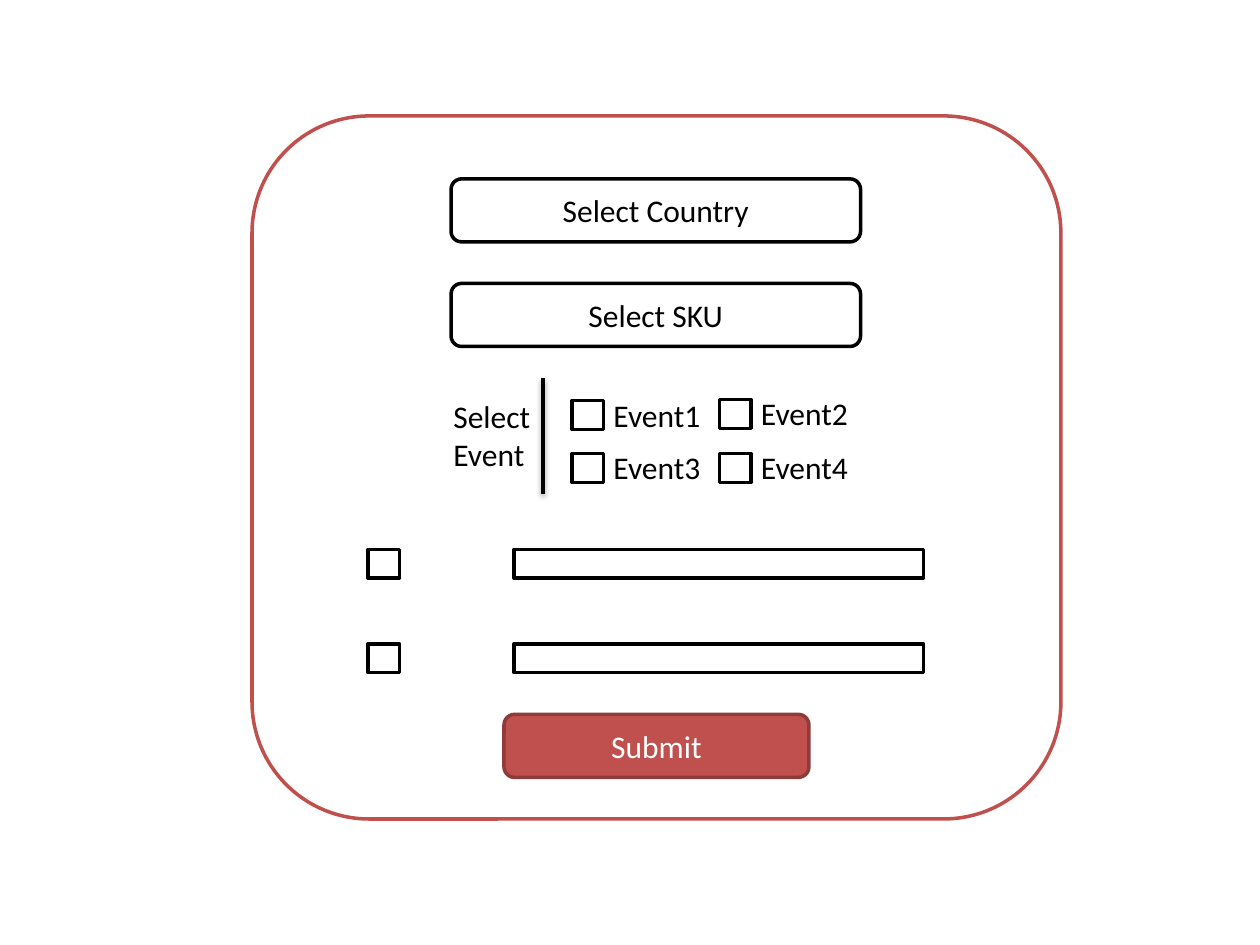
from dataclasses import dataclass

from lxml import etree
from pptx import Presentation
from pptx.dml.color import RGBColor
from pptx.enum.shapes import MSO_CONNECTOR, MSO_SHAPE
from pptx.enum.text import MSO_ANCHOR, MSO_AUTO_SIZE, PP_ALIGN
from pptx.oxml.ns import qn
from pptx.util import Inches, Pt

RECT = MSO_SHAPE.RECTANGLE
ROUNDED = MSO_SHAPE.ROUNDED_RECTANGLE
STRAIGHT = MSO_CONNECTOR.STRAIGHT
CENTER, LEFT = PP_ALIGN.CENTER, PP_ALIGN.LEFT
MIDDLE, TOP = MSO_ANCHOR.MIDDLE, MSO_ANCHOR.TOP
GROW = MSO_AUTO_SIZE.SHAPE_TO_FIT_TEXT


@dataclass(frozen=True)
class Theme:
    font: str = "Calibri"
    text_size: int = 18
    line_width: int = 2
    ink: str = "000000"
    paper: str = "FFFFFF"
    accent: str = "C0504D"
    accent_dark: str = "8E3B39"


THEME = Theme()


def write_text(frame, text, color=THEME.ink, align=LEFT, anchor=TOP):
    """Fill a text frame, one paragraph per line of text."""
    frame.word_wrap = True
    frame.vertical_anchor = anchor
    frame.text = text
    for paragraph in frame.paragraphs:
        paragraph.alignment = align
        for run in paragraph.runs:
            run.font.name = THEME.font
            run.font.size = Pt(THEME.text_size)
            run.font.color.rgb = RGBColor.from_string(color)


class FormSlide:
    def __init__(self, slide, theme):
        self.slide = slide
        self.theme = theme

    def outline(self, line, color):
        line.color.rgb = RGBColor.from_string(color)
        line.width = Pt(self.theme.line_width)

    def box(self, left, top, width, height, kind=RECT, fill=None, line=None):
        shape = self.slide.shapes.add_shape(
            kind, Inches(left), Inches(top), Inches(width), Inches(height))
        shape.shadow.inherit = False
        shape.fill.solid()
        shape.fill.fore_color.rgb = RGBColor.from_string(fill or self.theme.paper)
        self.outline(shape.line, line or self.theme.ink)
        return shape

    def button(self, text, left, top, width, color=THEME.ink, **look):
        shape = self.box(left, top, width, 0.5, ROUNDED, **look)
        write_text(shape.text_frame, text, color, CENTER, MIDDLE)

    def checkbox(self, left, top):
        self.box(left, top, 0.25, 0.23)

    def label(self, text, left, top, width, height):
        frame = self.slide.shapes.add_textbox(
            Inches(left), Inches(top), Inches(width), Inches(height)).text_frame
        write_text(frame, text)
        frame.auto_size = GROW

    def divider(self, x, top, bottom):
        line = self.slide.shapes.add_connector(
            STRAIGHT, Inches(x), Inches(top), Inches(x), Inches(bottom))
        self.outline(line.line, self.theme.ink)
        # Soft shadow straight below the line
        effects = etree.SubElement(line._element.spPr, qn("a:effectLst"))
        shadow = etree.SubElement(
            effects, qn("a:outerShdw"), blurRad=str(Pt(3.1)),
            dist=str(Pt(1.6)), dir="5400000", rotWithShape="0")
        color = etree.SubElement(shadow, qn("a:srgbClr"), val=self.theme.ink)
        etree.SubElement(color, qn("a:alpha"), val="38000")


def main():
    deck = Presentation()
    deck.slide_width, deck.slide_height = Inches(10), Inches(7.5)
    form = FormSlide(deck.slides.add_slide(deck.slide_layouts[6]), THEME)

    # Form panel
    form.box(2, 0.92, 6.42, 5.58, ROUNDED, line=THEME.accent)

    # Selection fields
    for field, top in (("Select Country", 1.42), ("Select SKU", 2.25)):
        form.button(field, 3.58, top, 3.25)

    # Checkbox and entry rows
    for top in (4.36, 5.11):
        form.checkbox(2.92, top)
        form.box(4.08, top, 3.25, 0.23)

    # Submit button
    form.button("Submit", 4, 5.67, 2.42, THEME.paper,
                fill=THEME.accent, line=THEME.accent_dark)

    # Event choices
    form.divider(4.31, 3, 3.92)
    form.label("Select\nEvent", 3.5, 3.1, 1, 0.71)
    events = (("Event1", 4.54, 3.18), ("Event2", 5.71, 3.17),
              ("Event3", 4.54, 3.6), ("Event4", 5.71, 3.6))
    for event, left, top in events:
        form.checkbox(left, top)
        form.label(event, left + 0.23, top - 0.09, 1.12, 0.4)

    deck.save("out.pptx")


if __name__ == "__main__":
    main()
